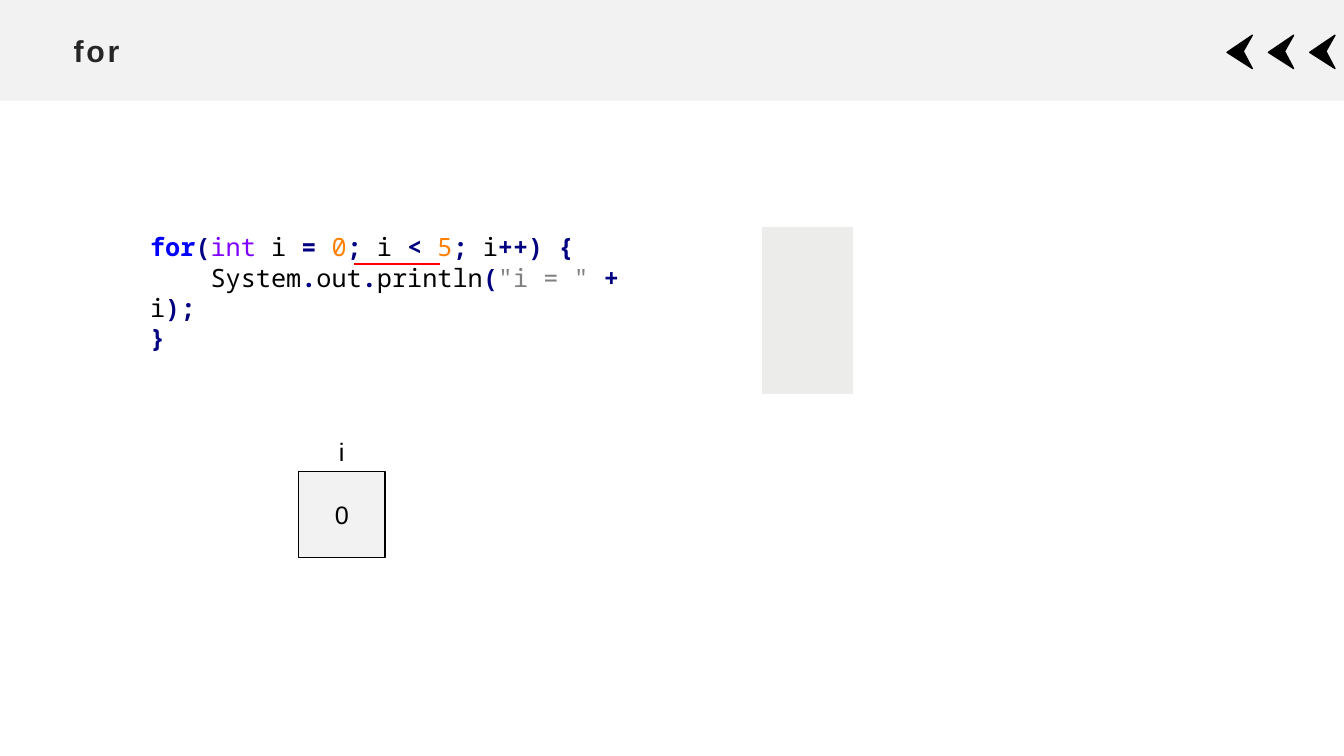
from dataclasses import dataclass
from typing import Any, NamedTuple

from lxml import etree
from pptx import Presentation
from pptx.dml.color import RGBColor
from pptx.enum.shapes import MSO_CONNECTOR, MSO_SHAPE
from pptx.enum.text import MSO_ANCHOR, MSO_AUTO_SIZE, PP_ALIGN
from pptx.oxml.ns import qn
from pptx.util import Inches, Pt

CENTER, LEFT = PP_ALIGN.CENTER, PP_ALIGN.LEFT
MIDDLE, TOP = MSO_ANCHOR.MIDDLE, MSO_ANCHOR.TOP
GROW = MSO_AUTO_SIZE.SHAPE_TO_FIT_TEXT
NO_FIT = MSO_AUTO_SIZE.NONE
RECTANGLE, STRAIGHT = MSO_SHAPE.RECTANGLE, MSO_CONNECTOR.STRAIGHT


@dataclass(frozen=True)
class Theme:
    panel: str = "F2F2F2"
    cell: str = "ECECEA"
    white: str = "FFFFFF"
    ink: str = "000000"
    title: str = "262626"
    mark: str = "FF0000"
    keyword: str = "0000FF"
    operator: str = "000080"
    kind: str = "8000FF"
    number: str = "FF8000"
    string: str = "808080"
    title_size: float = 21.6
    body_size: float = 18
    body_font: str = "Arial"
    code_font: str = "Noto Sans Mono"


class Area(NamedTuple):
    left: float
    top: float
    width: float
    height: float

    def lengths(self) -> list[Any]:
        return [Inches(value) for value in self]


class Token(NamedTuple):
    text: str
    color: str
    bold: bool = False


THEME = Theme()


def plain(text: str) -> Token:
    return Token(text, THEME.ink)


def operator(text: str) -> Token:
    return Token(text, THEME.operator, True)


def number(text: str) -> Token:
    return Token(text, THEME.number)


CODE_LINES = [
    [Token("for", THEME.keyword, True), operator("("), Token("int", THEME.kind),
     plain(" i "), operator("="), plain(" "), number("0"), operator(";"),
     plain(" i "), operator("<"), plain(" "), number("5"), operator(";"),
     plain(" i"), operator("++) {")],
    [plain("    System"), operator("."), plain("out"), operator("."),
     plain("println"), operator("("), Token('"i = "', THEME.string), plain(" "),
     operator("+"), plain(" i"), operator(");")],
    [operator("}")],
]
CHEVRON_LEFTS = [12.17 + 0.41 * step for step in range(3)]
CHEVRON_OUTLINE = [(0.25, 0.68), (0, 0.52), (0.25, 0.35), (0.16, 0.51)]
CELL_BORDERS = {"a:lnL": 1, "a:lnR": 1, "a:lnT": 1, "a:lnB": 3}


def color_of(value: str) -> RGBColor:
    return RGBColor.from_string(value)


def apply(target: Any, values: dict[str, Any]) -> None:
    for name, value in values.items():
        setattr(target, name, value)


def paint(shape: Any, fill: str, line: str | None = None) -> None:
    shape.shadow.inherit = False
    shape.fill.solid()
    shape.fill.fore_color.rgb = color_of(fill)
    if line is None:
        shape.line.fill.background()
    else:
        shape.line.color.rgb = color_of(line)
        shape.line.width = Pt(1)


def write(para: Any, token: Token, font: str, size: float) -> Any:
    span = para.add_run()
    span.text = token.text
    apply(span.font, {"name": font, "size": Pt(size), "bold": token.bold})
    span.font.color.rgb = color_of(token.color)
    return span


def write_centered(shape: Any, text: str) -> None:
    para = shape.text_frame.paragraphs[0]
    para.alignment = CENTER
    write(para, plain(text), THEME.body_font, THEME.body_size)


def add_text_box(page: Any, area: Area) -> Any:
    box = page.shapes.add_textbox(*area.lengths())
    apply(box.text_frame, {"word_wrap": True, "auto_size": GROW, "vertical_anchor": TOP})
    return box


def add_rectangle(page: Any, area: Area, line: str | None = None) -> Any:
    shape = page.shapes.add_shape(RECTANGLE, *area.lengths())
    paint(shape, THEME.panel, line)
    return shape


def add_chevron(page: Any, left: float) -> None:
    points = [(Inches(left + x), Inches(y)) for x, y in CHEVRON_OUTLINE]
    builder = page.shapes.build_freeform(*points[0])
    builder.add_line_segments(points[1:], close=True)
    paint(builder.convert_to_shape(), THEME.ink, THEME.ink)


def add_header(page: Any) -> None:
    add_rectangle(page, Area(0, 0, 13.33, 1))
    for left in CHEVRON_LEFTS:
        add_chevron(page, left)

    # The title sits in front of the band
    title = page.shapes.title
    title.element.getparent().append(title.element)
    names = ("left", "top", "width", "height")
    apply(title, dict(zip(names, Area(0.63, 0.26, 12.07, 0.48).lengths())))
    apply(title.text_frame, {"vertical_anchor": MIDDLE, "auto_size": NO_FIT})
    para = title.text_frame.paragraphs[0]
    para.alignment = LEFT
    span = write(para, Token("for", THEME.title, True), THEME.body_font, THEME.title_size)
    span.font._element.set("spc", "200")


def add_code(page: Any) -> None:
    frame = add_text_box(page, Area(1.39, 2.25, 5.03, 1.01)).text_frame
    for index, tokens in enumerate(CODE_LINES):
        para = frame.add_paragraph() if index else frame.paragraphs[0]
        for token in tokens:
            write(para, token, THEME.code_font, THEME.body_size)


def add_output_table(page: Any) -> None:
    table = page.shapes.add_table(1, 1, *Area(7.55, 2.25, 0.92, 1.68).lengths()).table
    apply(table, {"first_row": False, "horz_banding": False})
    cell = table.cell(0, 0)
    properties = cell._tc.get_or_add_tcPr()
    for tag, width in CELL_BORDERS.items():
        border = etree.SubElement(properties, qn(tag), w=str(Pt(width)))
        fill = etree.SubElement(border, qn("a:solidFill"))
        etree.SubElement(fill, qn("a:srgbClr"), val=THEME.white)
    cell.fill.solid()
    cell.fill.fore_color.rgb = color_of(THEME.cell)


def add_condition_mark(page: Any) -> None:
    ends = [Inches(value) for value in (3.51, 2.62, 4.36, 2.62)]
    mark = page.shapes.add_connector(STRAIGHT, *ends)
    mark.line.color.rgb = color_of(THEME.mark)
    mark.line.width = Pt(1.5)
    etree.SubElement(mark.element.spPr, qn("a:effectLst"))


def add_variable(page: Any) -> None:
    value_box = add_rectangle(page, Area(2.96, 4.68, 0.86, 0.85), THEME.ink)
    value_box.text_frame.vertical_anchor = MIDDLE
    write_centered(value_box, "0")
    write_centered(add_text_box(page, Area(3.12, 4.28, 0.54, 0.4)), "i")


def main() -> None:
    deck = Presentation()
    apply(deck, {"slide_width": Inches(13.33), "slide_height": Inches(7.5)})
    page = deck.slides.add_slide(deck.slide_layouts[5])
    for draw in (add_header, add_code, add_output_table, add_condition_mark, add_variable):
        draw(page)
    deck.save("out.pptx")


if __name__ == "__main__":
    main()
